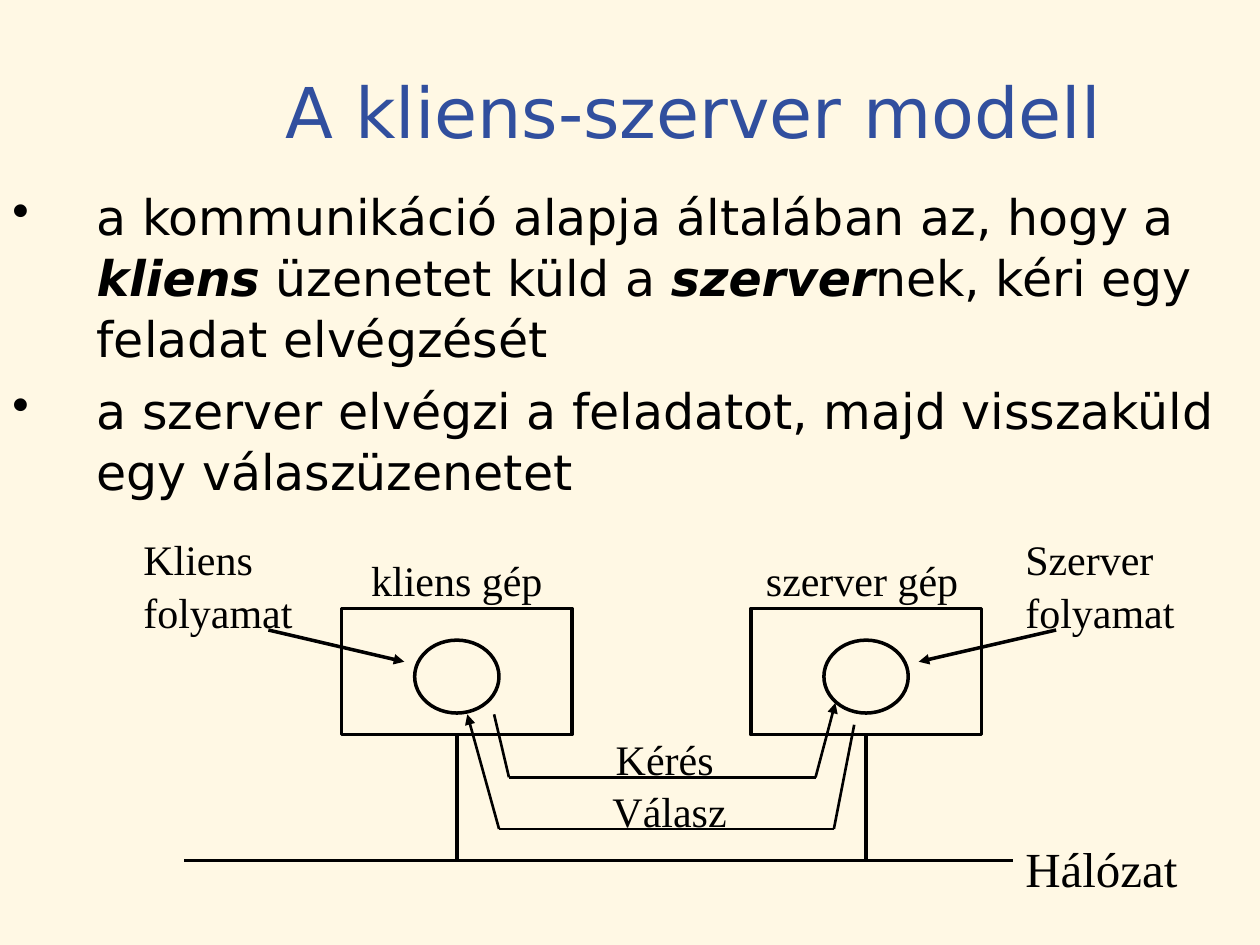
"""Build a slide that explains the client-server model."""
from itertools import pairwise

from lxml import etree
from pptx import Presentation
from pptx.dml.color import RGBColor
from pptx.enum.shapes import MSO_CONNECTOR, MSO_SHAPE
from pptx.enum.text import MSO_ANCHOR, MSO_AUTO_SIZE, PP_ALIGN
from pptx.oxml.ns import qn
from pptx.util import Cm, Pt

CREAM = RGBColor(0xFF, 0xF8, 0xE4)
BLUE = RGBColor(0x31, 0x4F, 0x9E)
BLACK = RGBColor(0, 0, 0)
SANS, SERIF = "DejaVu Sans", "Times New Roman"
LEFT, CENTER = PP_ALIGN.LEFT, PP_ALIGN.CENTER
TOP, MIDDLE = MSO_ANCHOR.TOP, MSO_ANCHOR.MIDDLE
FIT, FIXED = MSO_AUTO_SIZE.SHAPE_TO_FIT_TEXT, MSO_AUTO_SIZE.NONE
STRAIGHT = MSO_CONNECTOR.STRAIGHT
RECTANGLE, OVAL = MSO_SHAPE.RECTANGLE, MSO_SHAPE.OVAL
BOTTOM_SIDE = 2

TITLE = "A kliens-szerver modell"
POINTS = [
    [("a kommunikáció alapja általában az, hogy a ", False), ("kliens", True),
     (" üzenetet küld a ", False), ("szerver", True),
     ("nek, kéri egy feladat elvégzését", False)],
    [("a szerver elvégzi a feladatot, majd visszaküld egy válaszüzenetet", False)],
]
LABELS = [
    ("kliens gép", (7.09, 11, 4.24, 1.27), CENTER, 24),
    ("szerver gép", (14.94, 11, 4.88, 1.27), CENTER, 24),
    ("Kliens folyamat", (2.64, 10.59, 3.61, 2.29), LEFT, 24),
    ("Szerver folyamat", (20.42, 10.59, 3.61, 2.29), LEFT, 24),
    ("Kérés", (11.66, 14.61, 3.48, 1.27), CENTER, 24),
    ("Válasz", (11.86, 15.67, 3.28, 1.27), CENTER, 24),
    ("Hálózat", (20.42, 16.71, 3.81, 1.45), LEFT, 28),
]
ROUTES = [
    ([(5.41, 12.7), (8.15, 13.34)], 2),
    ([(21.29, 12.7), (18.52, 13.34)], 2),
    ([(9.96, 14.4), (10.26, 15.67), (16.44, 15.67), (16.84, 14.17)], 1.5),
    ([(17.22, 14.61), (16.81, 16.71), (10.06, 16.71), (9.42, 14.4)], 1.5),
]
MACHINE_CENTERS, MACHINE_MIDDLE = (9.21, 17.46), 13.54
PROCESS_MIDDLE = 13.64
MACHINE_SIZE, PROCESS_SIZE = (4.65, 2.54), (1.7, 1.47)
NETWORK_LEFT, NETWORK_RIGHT, NETWORK_Y = 3.71, 20.42, 17.35


def apply(target, values):
    for attribute, value in values.items():
        setattr(target, attribute, value)


def add_text(slide, box, paragraphs, size, font, color=BLACK, align=LEFT,
             anchor=TOP, fit=FIXED, spacing=1.05, bullets=False):
    frame = slide.shapes.add_textbox(*map(Cm, box)).text_frame
    apply(frame, {"word_wrap": True, "vertical_anchor": anchor, "auto_size": fit})
    for index, runs in enumerate(paragraphs):
        paragraph = frame.add_paragraph() if index else frame.paragraphs[0]
        apply(paragraph, {"alignment": align, "line_spacing": spacing})
        if index:
            paragraph.space_before = Pt(7)
        if bullets:
            properties = paragraph._p.get_or_add_pPr()
            properties.set("marL", str(Cm(1.7)))
            properties.set("indent", str(Cm(-1.7)))
            etree.SubElement(properties, qn("a:buChar"), char="•")
        for text, emphasis in runs:
            run = paragraph.add_run()
            run.text = text
            apply(run.font, {"size": Pt(size), "name": font,
                             "bold": emphasis, "italic": emphasis})
            run.font.color.rgb = color


def add_outline(slide, preset, center, middle, size):
    width, height = size
    box = (center - width / 2, middle - height / 2, width, height)
    shape = slide.shapes.add_shape(preset, *map(Cm, box))
    shape.shadow.inherit = False
    shape.fill.background()
    shape.line.color.rgb = BLACK
    shape.line.width = Pt(2)
    return shape


def add_line(slide, start, end, width, arrow=False):
    line = slide.shapes.add_connector(STRAIGHT, *map(Cm, (*start, *end)))
    line.line.color.rgb = BLACK
    line.line.width = Pt(width)
    if arrow:
        etree.SubElement(line.line._get_or_add_ln(), qn("a:tailEnd"), type="triangle")
    etree.SubElement(line._element.spPr, qn("a:effectLst"))
    return line


def main():
    deck = Presentation()
    apply(deck, {"slide_width": Cm(25.4), "slide_height": Cm(19.05)})
    slide = deck.slides.add_slide(deck.slide_layouts[6])
    slide.background.fill.solid()
    slide.background.fill.fore_color.rgb = CREAM

    add_text(slide, (3.28, 0.64, 21.39, 3.18), [[(TITLE, False)]], 40, SANS,
             BLUE, CENTER, MIDDLE, spacing=1)
    add_text(slide, (0, 3.61, 24.77, 10.29), POINTS, 28, SANS,
             spacing=1.03, bullets=True)

    for center in MACHINE_CENTERS:
        add_outline(slide, OVAL, center, PROCESS_MIDDLE, PROCESS_SIZE)
        machine = add_outline(slide, RECTANGLE, center, MACHINE_MIDDLE, MACHINE_SIZE)
        machine_bottom = MACHINE_MIDDLE + MACHINE_SIZE[1] / 2
        drop = add_line(slide, (center, machine_bottom), (center, NETWORK_Y), 2)
        drop.begin_connect(machine, BOTTOM_SIDE)
    add_line(slide, (NETWORK_LEFT, NETWORK_Y), (NETWORK_RIGHT, NETWORK_Y), 2)

    for points, width in ROUTES:
        for start, end in pairwise(points):
            add_line(slide, start, end, width, arrow=end == points[-1])
    for text, box, align, size in LABELS:
        add_text(slide, box, [[(text, False)]], size, SERIF, align=align, fit=FIT)
    deck.save("out.pptx")


if __name__ == "__main__":
    main()
